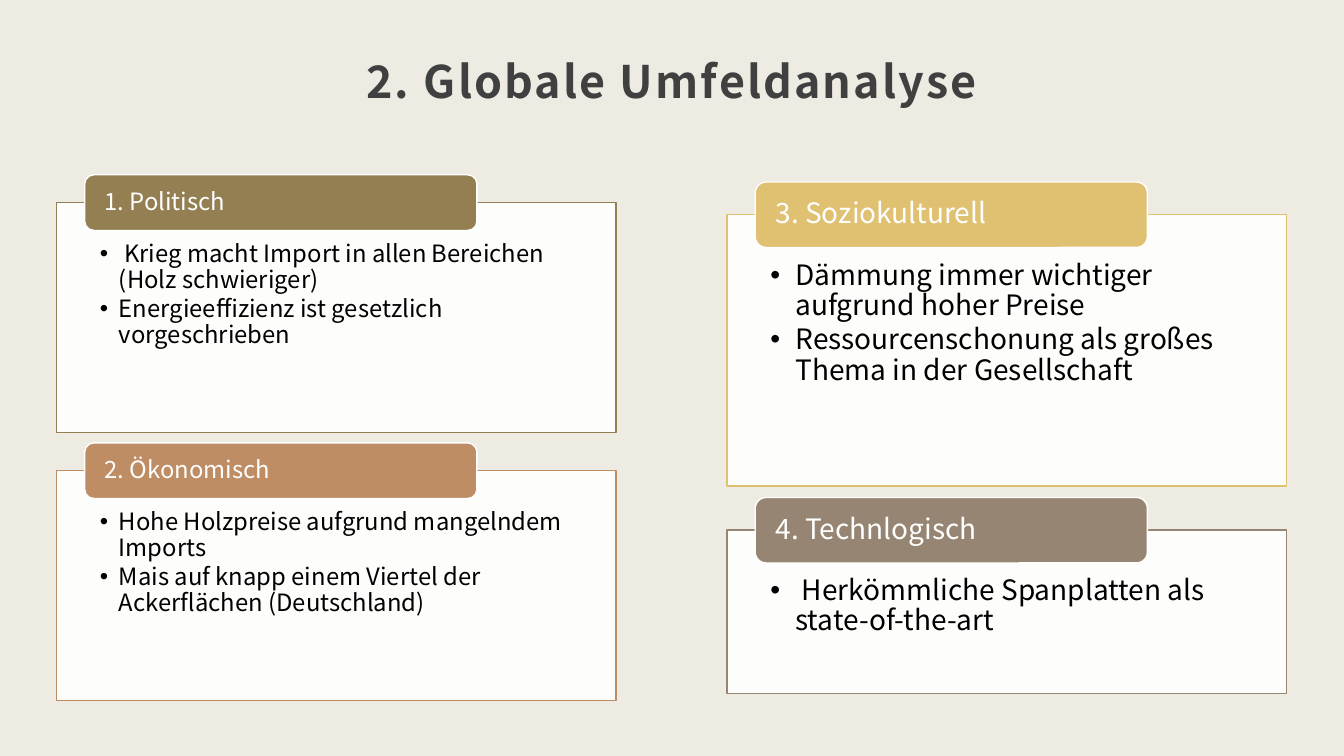
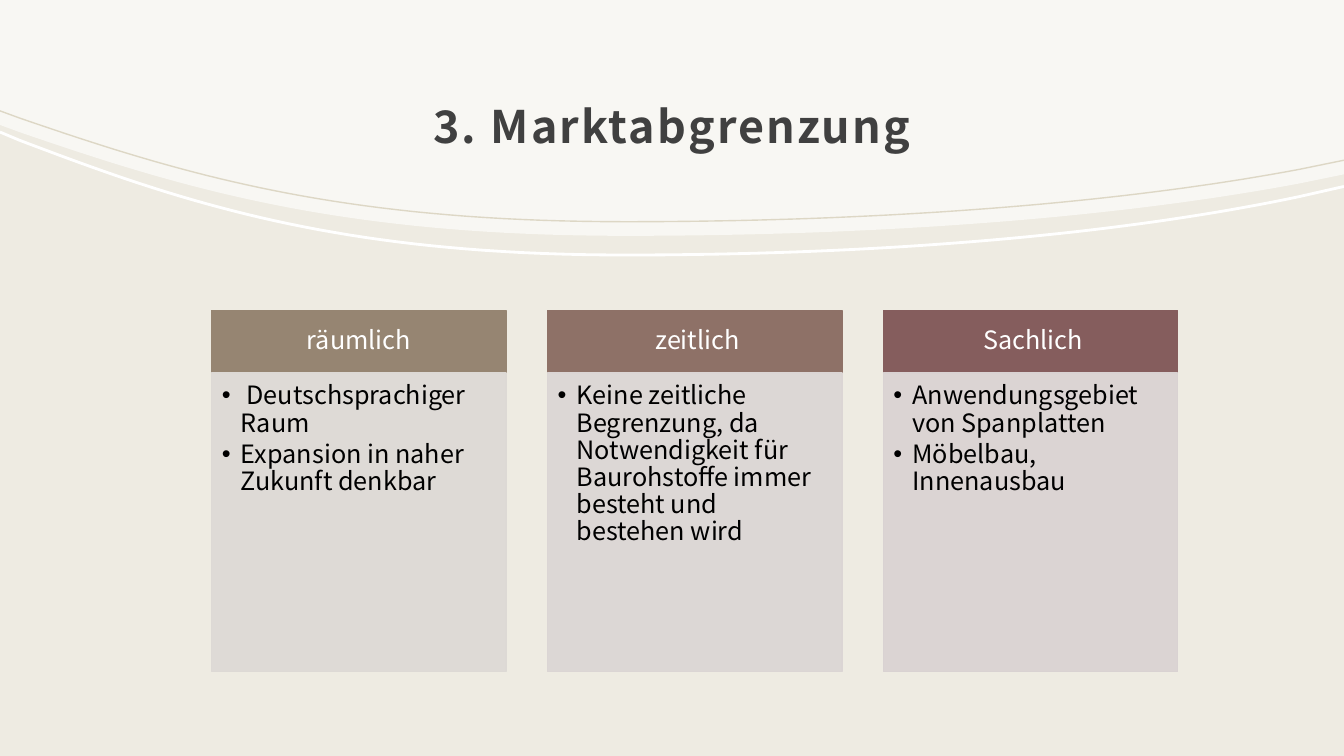
from dataclasses import dataclass

import pptx
import pptx.dml.color
import pptx.enum.shapes
import pptx.enum.text
import pptx.oxml
import pptx.oxml.ns
import pptx.util

Inches, Pt = pptx.util.Inches, pptx.util.Pt
Align, Anchor = pptx.enum.text.PP_ALIGN, pptx.enum.text.MSO_ANCHOR
Preset = pptx.enum.shapes.MSO_SHAPE
COMPARISON_LAYOUT = 4  # a title and four text areas


@dataclass(frozen=True)
class Theme:
    font: str = "Noto Sans CJK JP"
    background: str = "EEEBE2"
    title: str = "404040"
    text: str = "000000"
    white: str = "FFFFFF"
    sand: str = "DDD7C5"
    olive: str = "947F53"
    copper: str = "BE8D64"
    gold: str = "E0C171"
    taupe: str = "968572"
    clay: str = "8E7167"
    wine: str = "855D5D"
    taupe_light: str = "DDD9D5"
    clay_light: str = "DBD5D4"
    wine_light: str = "D9D2D2"
    title_size: int = 32
    compact_size: int = 17
    column_size: int = 18
    large_size: int = 20


THEME = Theme()


def rgb(color):
    return pptx.dml.color.RGBColor.from_string(color)


def write(shape, *texts, size, color, bold=False, align=Align.LEFT, anchor=Anchor.MIDDLE,
          insets=(0, 0, 0, 0), line_spacing=0.9, after=0, tracking=0, bullet_indent=0):
    """Fill a shape with one paragraph per text; insets run left, top, right, bottom."""
    frame = shape.text_frame
    frame.word_wrap = True
    frame.auto_size = pptx.enum.text.MSO_AUTO_SIZE.NONE
    frame.vertical_anchor = anchor
    (frame.margin_left, frame.margin_top,
     frame.margin_right, frame.margin_bottom) = map(Inches, insets)
    for number, text in enumerate(texts):
        paragraph = frame.add_paragraph() if number else frame.paragraphs[0]
        paragraph.alignment = align
        paragraph.line_spacing = line_spacing
        paragraph.space_before, paragraph.space_after = Pt(0), Pt(after)
        run = paragraph.add_run()
        run.text = text
        run.font.name, run.font.size, run.font.bold = THEME.font, Pt(size), bold
        run.font.color.rgb = rgb(color)
        if tracking:
            run.font._element.set("spc", str(int(tracking * 100)))
        if bullet_indent:
            properties = paragraph._p.get_or_add_pPr()
            properties.set("marL", str(Inches(bullet_indent)))
            properties.set("indent", str(-Inches(bullet_indent)))
            bullet = pptx.oxml.parse_xml(f'<a:buChar {pptx.oxml.ns.nsdecls("a")} char="•"/>')
            properties.append(bullet)


def paint(shape, fill=None, line=None, width=1, opacity=100):
    if fill:
        shape.fill.solid()
        shape.fill.fore_color.rgb = rgb(fill)
        if opacity < 100:
            solid_fill = shape._element.spPr.find(pptx.oxml.ns.qn("a:solidFill"))
            solid_fill[0].append(pptx.oxml.parse_xml(
                f'<a:alpha {pptx.oxml.ns.nsdecls("a")} val="{opacity * 1000}"/>'))
    else:
        shape.fill.background()
    if line:
        shape.line.color.rgb = rgb(line)
        shape.line.width = Pt(width)
    else:
        shape.line.fill.background()


def bezier(start, control_1, control_2, end, steps=40):
    """Points along a cubic curve, without its start."""
    for step in range(1, steps + 1):
        t = step / steps
        weights = ((1 - t) ** 3, 3 * t * (1 - t) ** 2, 3 * t * t * (1 - t), t ** 3)
        corners = (start, control_1, control_2, end)
        yield tuple(sum(w * corner[axis] for w, corner in zip(weights, corners))
                    for axis in (0, 1))


def arc(left, left_knee, left_pull, bottom, right_pull, right_knee, right):
    """Points of a hanging curve across the slide, from its seven heights."""
    knee, low, far_knee = (0.19, left_knee), (6.2, bottom), (12.89, right_knee)
    return [(0, left), knee,
            *bezier(knee, (1.79, left_pull), (3.33, bottom), low),
            *bezier(low, (8.75, bottom), (11.09, right_pull), far_knee),
            (13.33, right)]


class Deck:
    def __init__(self):
        self.presentation = pptx.Presentation()
        self.presentation.slide_width = Inches(13.33)
        self.presentation.slide_height = Inches(7.5)
        backdrop = self.presentation.slide_master.background.fill
        backdrop.solid()
        backdrop.fore_color.rgb = rgb(THEME.background)

    def start_slide(self):
        layout = self.presentation.slide_layouts[COMPARISON_LAYOUT]
        self.slide = self.presentation.slides.add_slide(layout)
        self.free_areas = [area for area in self.slide.placeholders
                           if area.placeholder_format.idx]

    def place(self, placeholder, left, top, width, height):
        """Move a placeholder and bring it to the front."""
        placeholder.left, placeholder.top = Inches(left), Inches(top)
        placeholder.width, placeholder.height = Inches(width), Inches(height)
        element = placeholder._element
        element.getparent().append(element)

    def title(self, text, left, top, width, height):
        heading = self.slide.shapes.title
        self.place(heading, left, top, width, height)
        write(heading, text, size=THEME.title_size, color=THEME.title, bold=True,
              align=Align.CENTER, insets=(0.12, 0.12, 0.12, 0.1),
              line_spacing=1.3, after=6, tracking=1.5)

    def list_area(self, points, box, fill, line, size, insets, indent):
        area = self.free_areas.pop(0)
        self.place(area, *box)
        paint(area, fill, line, opacity=90)
        write(area, *points, size=size, color=THEME.text, anchor=Anchor.TOP,
              insets=insets, after=size * 0.15, bullet_indent=indent)

    def label(self, text, preset, box, fill, line, **text_format):
        tab = self.slide.shapes.add_shape(preset, *map(Inches, box))
        tab.shadow.inherit = False
        paint(tab, fill, line)
        write(tab, text, color=THEME.white, **text_format)

    def factor_card(self, heading, points, left, top, height, color, size, indent):
        """A list with a rounded tab that straddles its top edge."""
        self.list_area(points, (left, top, 5.55, height), THEME.white, color, size,
                       (0.43, size * 0.023, 0.43, 0.13), indent)
        tab_height = size * 0.0325
        self.label(heading, Preset.ROUNDED_RECTANGLE,
                   (left + 0.28, top - tab_height / 2, 3.89, tab_height),
                   color, THEME.white, size=size, insets=(0.17, 0, 0.17, 0))

    def market_column(self, heading, points, left, color, light):
        top, width, heading_height = 3.08, 2.92, 0.62
        size = THEME.column_size
        self.label(heading, Preset.RECTANGLE, (left, top, width, heading_height),
                   color, color, size=size, align=Align.CENTER,
                   insets=(0.14, 0.08, 0.14, 0.08))
        self.list_area(points, (left, top + heading_height, width, 2.96), light, light,
                       size, (0.1, 0.1, 0.14, 0.16), 0.19)

    def curve(self, points, closed=False, **look):
        start, *others = [(Inches(x), Inches(y)) for x, y in points]
        builder = self.slide.shapes.build_freeform(*start)
        builder.add_line_segments(others, close=closed)
        outline = builder.convert_to_shape()
        outline.shadow.inherit = False
        paint(outline, **look)

    def finish_slide(self):
        for area in self.free_areas:
            area._element.getparent().remove(area._element)


def add_environment_slide(deck):
    deck.start_slide()
    deck.title("2. Globale Umfeldanalyse", 2.24, -0.9, 8.85, 3.21)
    compact = dict(left=0.56, height=2.28, size=THEME.compact_size, indent=0.19)
    large = dict(left=7.21, size=THEME.large_size, indent=0.25)
    deck.factor_card("1. Politisch",
                     [" Krieg macht Import in allen Bereichen (Holz schwieriger)",
                      "Energieeffizienz ist gesetzlich vorgeschrieben"],
                     top=2.01, color=THEME.olive, **compact)
    deck.factor_card("2. Ökonomisch",
                     ["Hohe Holzpreise aufgrund mangelndem Imports",
                      "Mais auf knapp einem Viertel der Ackerflächen (Deutschland)"],
                     top=4.67, color=THEME.copper, **compact)
    deck.factor_card("3. Soziokulturell",
                     ["Dämmung immer wichtiger aufgrund hoher Preise",
                      "Ressourcenschonung als großes Thema in der Gesellschaft"],
                     top=2.13, height=2.69, color=THEME.gold, **large)
    deck.factor_card("4. Technlogisch",
                     [" Herkömmliche Spanplatten als state-of-the-art"],
                     top=5.26, height=1.62, color=THEME.taupe, **large)
    deck.finish_slide()


def add_market_slide(deck):
    deck.start_slide()
    deck.curve([(13.33, 0), (0, 0), *arc(1.24, 1.31, 1.86, 2.34, 2.16, 1.82, 1.73)],
               closed=True, fill=THEME.white, opacity=60)
    deck.curve(arc(1.31, 1.39, 2, 2.53, 2.33, 1.95, 1.85), line=THEME.white, width=2)
    deck.curve(arc(1.1, 1.17, 1.72, 2.2, 2.02, 1.68, 1.59), line=THEME.sand, width=1)
    deck.title("3. Marktabgrenzung", 1.33, 0.59, 10.67, 1.14)
    columns = [
        ("räumlich", [" Deutschsprachiger Raum", "Expansion in naher Zukunft denkbar"],
         THEME.taupe, THEME.taupe_light),
        (" zeitlich", ["Keine zeitliche Begrenzung, da Notwendigkeit für Baurohstoffe "
                       "immer besteht und bestehen wird"],
         THEME.clay, THEME.clay_light),
        (" Sachlich", ["Anwendungsgebiet von Spanplatten", "Möbelbau, Innenausbau"],
         THEME.wine, THEME.wine_light),
    ]
    for number, (heading, points, color, light) in enumerate(columns):
        deck.market_column(heading, points, 2.1 + number * 3.33, color, light)
    deck.finish_slide()


def main():
    deck = Deck()
    add_environment_slide(deck)
    add_market_slide(deck)
    deck.presentation.save("out.pptx")


if __name__ == "__main__":
    main()
